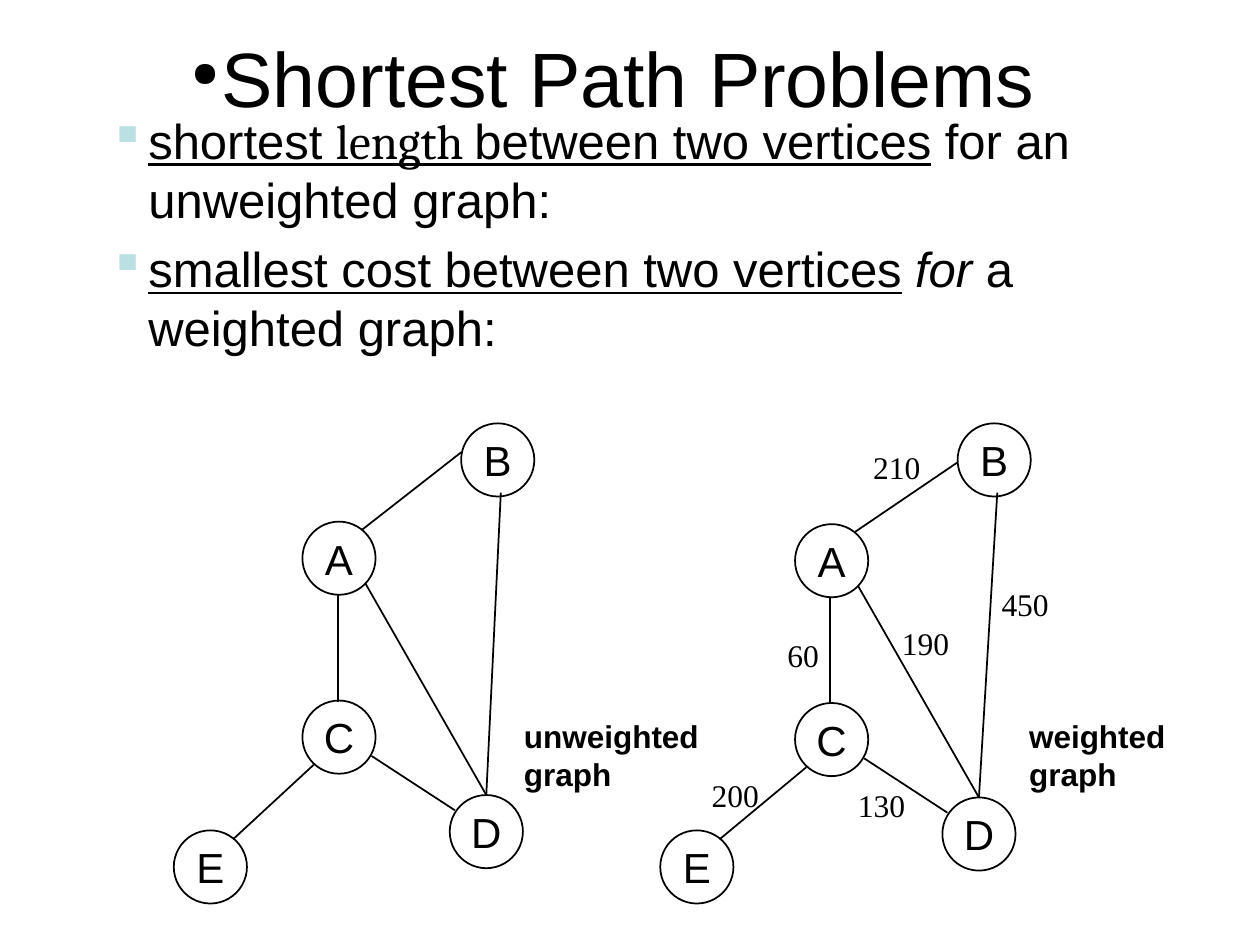
from dataclasses import dataclass

import pptx
import pptx.dml.color
import pptx.enum.shapes
import pptx.enum.text
import pptx.oxml
import pptx.oxml.ns
import pptx.util
from pptx.util import Pt

Point = tuple[float, float]
Box = tuple[float, float, float, float]


@dataclass(frozen=True)
class Theme:
    ink: str = "000000"
    bullet: str = "BBE0E3"
    sans: str = "Arial"
    serif: str = "Cambria"
    numeral: str = "Times New Roman"
    title: float = 44
    body: float = 28
    node: float = 24
    label: float = 18
    line: float = 1
    node_size: float = 41.8


@dataclass(frozen=True)
class Span:
    text: str
    font: str = "Arial"
    underline: bool = False
    italic: bool = False


@dataclass(frozen=True)
class Edge:
    """Two nodes, each with the line end's offset from the node centre."""
    start: str
    start_offset: Point
    end: str
    end_offset: Point


@dataclass(frozen=True)
class Graph:
    centres: dict[str, Point]
    b_offset: Point  # where the edge from A meets B
    caption: str
    caption_box: Box
    weights: dict[str, Point]


THEME = Theme()

BULLETS = [
    [Span("shortest ", underline=True),
     Span("length ", THEME.serif, underline=True),
     Span("between two vertices", underline=True),
     Span(" for an unweighted graph:")],
    [Span("smallest cost between two vertices", underline=True),
     Span(" for", italic=True),
     Span(" a weighted graph:")],
]

EDGES = [
    Edge("D", (0, -20.9), "B", (1.8, 18.7)),
    Edge("A", (15.1, 14.4), "D", (0, -20.9)),
    Edge("C", (-0.7, -20.2), "A", (-0.7, 20.9)),
    Edge("E", (13, -15.8), "C", (-14.4, 15.8)),
    Edge("C", (18.7, 10.8), "D", (-18, -12.2)),
]

GRAPHS = [
    Graph({"B": (284.4, 262.8), "D": (277.9, 475.2), "C": (193.7, 421.2),
           "A": (193.7, 319), "E": (120.2, 495.4)},
          (-20.9, -4.3), "unweighted graph", (292.3, 406.1, 118.8, 50.4), {}),
    Graph({"B": (568.1, 262.8), "D": (559.4, 476.6), "C": (475.2, 422.6),
           "A": (475.2, 320.4), "E": (398.2, 495.4)},
          (-20.9, 1.4), "weighted graph", (581, 406.1, 113, 50.4),
          {"200": (399.6, 439.9), "60": (442.8, 360), "130": (483.1, 445.7),
           "190": (508.3, 352.8), "450": (565.2, 330.5), "210": (491.8, 252.7)}),
]


def rgb(colour: str) -> pptx.dml.color.RGBColor:
    return pptx.dml.color.RGBColor.from_string(colour)


def style(r, size: float, font: str = THEME.sans, bold: bool = False) -> None:
    r.font.size, r.font.name, r.font.bold = Pt(size), font, bold
    r.font.color.rgb = rgb(THEME.ink)


def add_bullet(p, char: str, colour: str, margin: float, indent: float,
               percent: int = 100) -> None:
    pPr = p._p.get_or_add_pPr()
    pPr.set("marL", str(Pt(margin)))
    pPr.set("indent", str(Pt(indent)))
    ns = pptx.oxml.ns.nsdecls("a")
    for xml in (f'<a:buClr {ns}><a:srgbClr val="{colour}"/></a:buClr>',
                f'<a:buSzPct {ns} val="{percent * 1000}"/>',
                f'<a:buChar {ns} char="{char}"/>'):
        pPr.append(pptx.oxml.parse_xml(xml))


def add_text(s, box: Box, text: str, size: float, font: str = THEME.sans,
             bold: bool = False, wrap: bool = True):
    tf = s.shapes.add_textbox(*map(Pt, box)).text_frame
    tf.word_wrap = wrap
    tf.text = text
    for r in tf.paragraphs[0].runs:
        style(r, size, font, bold)
    return tf


def add_title(s) -> None:
    tf = add_text(s, (26.6, 7.9, 648, 71.3), "Shortest Path Problems", THEME.title)
    tf.vertical_anchor = pptx.enum.text.MSO_ANCHOR.MIDDLE
    p = tf.paragraphs[0]
    p.alignment = pptx.enum.text.PP_ALIGN.CENTER
    add_bullet(p, "●", THEME.ink, 17.3, -17.3, 45)


def add_body(s) -> None:
    tf = s.shapes.add_textbox(*map(Pt, (19.4, 59.6, 652.3, 276.6))).text_frame
    tf.word_wrap = True
    for i, spans in enumerate(BULLETS):
        p = tf.add_paragraph() if i else tf.paragraphs[0]
        p.level = 1
        p.space_before = Pt(6 if i else 0)
        add_bullet(p, "▪", THEME.bullet, 58.3, -22.3)
        for span in spans:
            r = p.add_run()
            r.text = span.text
            style(r, THEME.body, span.font)
            r.font.underline, r.font.italic = span.underline, span.italic


def add_node(s, name: str, centre: Point) -> None:
    size = THEME.node_size
    x, y = centre
    sp = s.shapes.add_shape(pptx.enum.shapes.MSO_SHAPE.OVAL, Pt(x - size / 2),
                            Pt(y - size / 2), Pt(size), Pt(size))
    sp.shadow.inherit = False
    sp.fill.background()
    sp.line.color.rgb = rgb(THEME.ink)
    sp.line.width = Pt(THEME.line)
    tf = sp.text_frame
    tf.word_wrap = False
    tf.vertical_anchor = pptx.enum.text.MSO_ANCHOR.MIDDLE
    tf.text = name
    p = tf.paragraphs[0]
    p.alignment = pptx.enum.text.PP_ALIGN.CENTER
    style(p.runs[0], THEME.node)


def add_edge(s, edge: Edge, centres: dict[str, Point]) -> None:
    (x1, y1), (x2, y2) = centres[edge.start], centres[edge.end]
    (dx1, dy1), (dx2, dy2) = edge.start_offset, edge.end_offset
    line = s.shapes.add_connector(
        pptx.enum.shapes.MSO_CONNECTOR.STRAIGHT,
        Pt(x1 + dx1), Pt(y1 + dy1), Pt(x2 + dx2), Pt(y2 + dy2))
    line.line.color.rgb = rgb(THEME.ink)
    line.line.width = Pt(THEME.line)
    line._element.spPr.append(pptx.oxml.parse_xml(
        f'<a:effectLst {pptx.oxml.ns.nsdecls("a")}/>'))


def add_graph(s, graph: Graph) -> None:
    for name, centre in graph.centres.items():
        add_node(s, name, centre)
    for edge in [*EDGES, Edge("A", (13.5, -16.5), "B", graph.b_offset)]:
        add_edge(s, edge, graph.centres)
    for weight, (x, y) in graph.weights.items():
        width = 14.4 + 9 * len(weight)
        add_text(s, (x, y, width, 28.8), weight, THEME.label, THEME.numeral, wrap=False)
    add_text(s, graph.caption_box, graph.caption, THEME.label, bold=True)


def main() -> None:
    prs = pptx.Presentation()
    prs.slide_width, prs.slide_height = Pt(720), Pt(540)
    s = prs.slides.add_slide(prs.slide_layouts[6])
    # Heading and definitions
    add_body(s)
    add_title(s)
    # Graphs side by side
    for graph in GRAPHS:
        add_graph(s, graph)
    prs.save("out.pptx")


if __name__ == "__main__":
    main()
